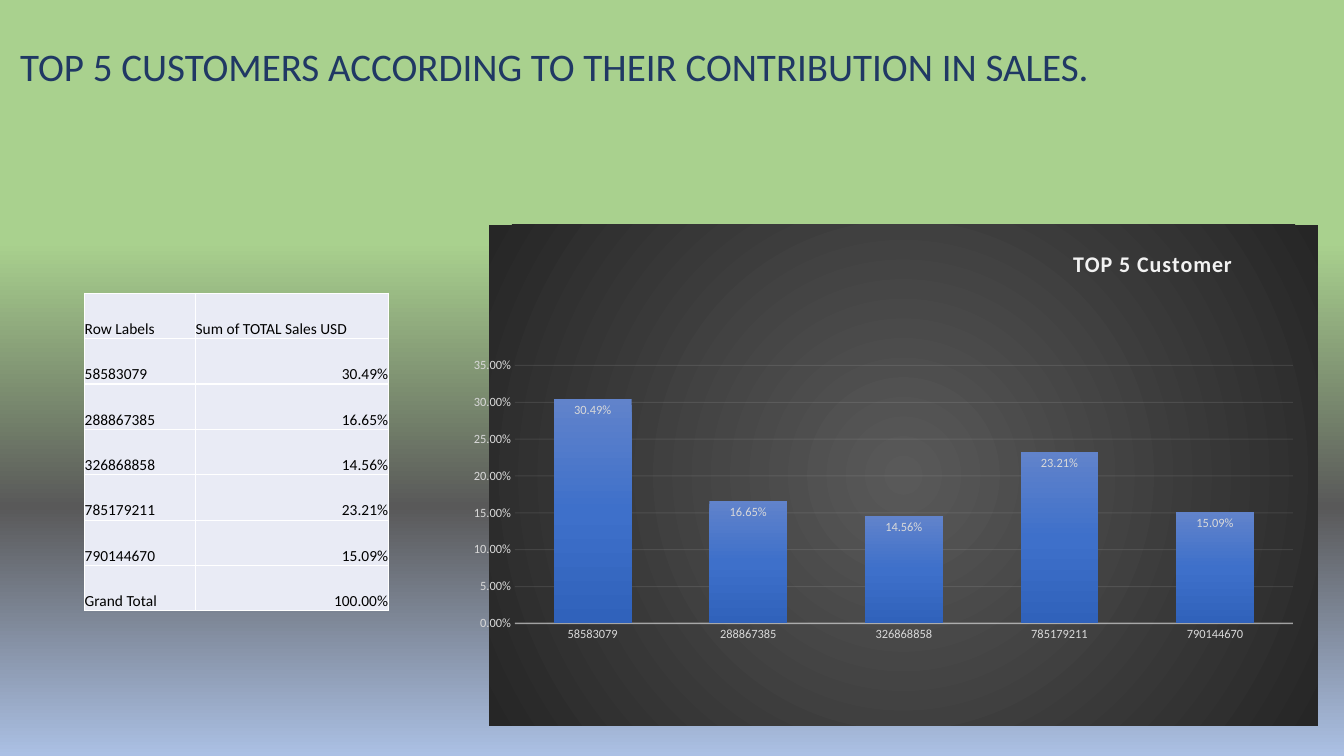
from lxml import etree
from pptx import Presentation
from pptx.chart.data import CategoryChartData
from pptx.dml.color import RGBColor
from pptx.enum.chart import XL_CHART_TYPE as ChartType, XL_LABEL_POSITION as LabelPosition
from pptx.enum.chart import XL_TICK_MARK as TickMark
from pptx.enum.text import MSO_ANCHOR as Anchor, PP_ALIGN as Align
from pptx.oxml import parse_xml
from pptx.oxml.ns import nsdecls, qn
from pptx.util import Inches, Pt

COLORS = {
    "black": "000000", "white": "FFFFFF", "navy": "203864", "cell": "E9EBF5",
    "label": "D9D9D9", "light": "F2F2F2", "grey": "595959", "dark": "262626",
    "green": "A9D18E", "sky": "ABC0E4",
    "bar_top": "6183CB", "bar_middle": "3E70CA", "bar_bottom": "3062BB",
}
DOWN = '<a:lin ang="5400000" scaled="0"/>'
FROM_CENTRE = ('<a:path path="circle"><a:fillToRect l="50000" t="50000" '
               'r="50000" b="50000"/></a:path>')


class SlideBuilder:
    font = "Calibri"

    def __init__(self, deck):
        self.page = deck.slides.add_slide(deck.slide_layouts[5])

    def color(self, name):
        return RGBColor.from_string(COLORS[name])

    def style(self, font, size, color, bold=False):
        font.name, font.size, font.bold = self.font, Pt(size), bold
        font.color.rgb = self.color(color)

    def gradient(self, stops, direction):
        marks = "".join(
            f'<a:gs pos="{position * 1000}"><a:srgbClr val="{COLORS[name]}"/></a:gs>'
            for position, name in stops)
        return parse_xml(f'<a:gradFill {nsdecls("a")} rotWithShape="1">'
                         f'<a:gsLst>{marks}</a:gsLst>{direction}</a:gradFill>')

    def swap_fill(self, properties, stops, direction):
        solid = properties.find(qn("a:solidFill"))
        properties.replace(solid, self.gradient(stops, direction))

    def line(self, line, color, width, opacity):
        line.width = Pt(width)
        line.color.rgb = self.color(color)
        shade = line._get_or_add_ln().find(".//" + qn("a:srgbClr"))
        etree.SubElement(shade, qn("a:alpha"), val=str(opacity * 1000))

    def place(self, parent, index, **values):
        """Give a chart part a manual layout in fractions of the chart."""
        for old in parent.findall(qn("c:layout")):
            parent.remove(old)
        layout = etree.Element(qn("c:layout"))
        manual = etree.SubElement(layout, qn("c:manualLayout"))
        for tag, value in values.items():
            etree.SubElement(manual, qn("c:" + tag), val=str(value))
        parent.insert(index, layout)

    def background(self, stops):
        self.page.background.fill.solid()
        self.swap_fill(self.page.element.find(".//" + qn("p:bgPr")), stops, DOWN)

    def title(self, text, left, top, width, height):
        box = self.page.shapes.title
        box.left, box.top, box.width, box.height = map(Inches, (left, top, width, height))
        frame = box.text_frame
        frame.text, frame.word_wrap = text, True
        frame.vertical_anchor = Anchor.MIDDLE
        para = frame.paragraphs[0]
        para.alignment, para.line_spacing = Align.LEFT, 0.9
        self.style(para.runs[0].font, 27.9, "navy")

    def table(self, rows, left, top, widths, row_height):
        table = self.page.shapes.add_table(
            len(rows), len(widths), Inches(left), Inches(top),
            Inches(sum(widths)), Inches(row_height * len(rows))).table
        table.first_row = table.horz_banding = False
        for column, width in zip(table.columns, widths):
            column.width = Inches(width)
        for r, row in enumerate(rows):
            for c, text in enumerate(row):
                self.cell(table.cell(r, c), text, Align.RIGHT if r and c else Align.LEFT)

    def cell(self, cell, text, alignment):
        cell.text = text
        cell.margin_left = cell.margin_right = cell.margin_top = cell.margin_bottom = 0
        cell.vertical_anchor = Anchor.BOTTOM
        cell.fill.solid()
        cell.fill.fore_color.rgb = self.color("cell")
        para = cell.text_frame.paragraphs[0]
        para.alignment = alignment
        self.style(para.runs[0].font, 11, "black")
        properties = cell._tc.get_or_add_tcPr()
        for index, side in enumerate(("lnL", "lnR", "lnT", "lnB")):
            properties.insert(index, parse_xml(
                f'<a:{side} {nsdecls("a")} w="12700"><a:solidFill>'
                f'<a:srgbClr val="{COLORS["white"]}"/></a:solidFill></a:{side}>'))

    def column_chart(self, title, shares, left, top, width, height):
        data = CategoryChartData(number_format="0.00%")
        data.categories = list(shares)
        data.add_series("Series 1", [share / 100 for share in shares.values()])
        chart = self.page.shapes.add_chart(
            ChartType.COLUMN_CLUSTERED, *map(Inches, (left, top, width, height)), data).chart
        chart.has_legend = False
        self.style(chart.font, 10, "black")

        # Dark chart area
        area = parse_xml(f'<c:spPr {nsdecls("c", "a")}><a:ln><a:noFill/></a:ln></c:spPr>')
        area.insert(0, self.gradient([(0, "grey"), (100, "dark")], FROM_CENTRE))
        chart.element.find(qn("c:txPr")).addprevious(area)

        # Chart title
        chart.has_title = True
        frame = chart.chart_title.text_frame
        frame.text = title
        span = frame.paragraphs[0].runs[0]
        self.style(span.font, 16, "light", bold=True)
        span.font._element.set("spc", "80")
        self.place(chart.chart_title.element if hasattr(chart.chart_title, "element")
                   else chart.chart_title._element, 1,
                   xMode="edge", yMode="edge", x=0.7, y=0.04)

        # Plot and axes
        self.place(chart.element.find(".//" + qn("c:plotArea")), 0,
                   layoutTarget="inner", xMode="edge", yMode="edge",
                   x=0.031, y=0.281, w=0.939, h=0.515)
        for axis in (chart.category_axis, chart.value_axis):
            axis.major_tick_mark = axis.minor_tick_mark = TickMark.NONE
            self.style(axis.tick_labels.font, 9, "label")
        self.line(chart.category_axis.format.line, "light", 1, 54)
        values = chart.value_axis
        values.minimum_scale, values.maximum_scale, values.major_unit = 0, 0.35, 0.05
        values.tick_labels.number_format = "0.00%"
        values.tick_labels.number_format_is_linked = False
        values.format.line.fill.background()
        self.line(values.major_gridlines.format.line, "light", 0.75, 10)

        # Columns and their labels
        plot = chart.plots[0]
        plot.gap_width, plot.overlap, plot.vary_by_categories = 100, -24, False
        series = plot.series[0]
        series.format.fill.solid()
        self.swap_fill(series._element.find(qn("c:spPr")),
                       [(0, "bar_top"), (50, "bar_middle"), (100, "bar_bottom")], DOWN)
        labels = series.data_labels
        labels.show_value, labels.position = True, LabelPosition.INSIDE_END
        labels.number_format, labels.number_format_is_linked = "0.00%", False
        self.style(labels.font, 9, "label")


deck = Presentation()
deck.slide_width, deck.slide_height = Inches(13.33), Inches(7.5)
slide = SlideBuilder(deck)

# Share of sales by customer, in percent
customers = {"58583079": 30.49, "288867385": 16.65, "326868858": 14.56,
             "785179211": 23.21, "790144670": 15.09}

slide.background([(32, "green"), (67, "grey"), (100, "sky")])
slide.title("TOP 5 CUSTOMERS ACCORDING TO THEIR CONTRIBUTION IN SALES.",
            0.1, 0.14, 13.13, 1.09)
slide.column_chart("TOP 5 Customer", customers, 4.7, 2.23, 8.37, 4.97)

# Customer table with its total
rows = [("Row Labels", "Sum of TOTAL Sales USD")]
rows += [(customer, f"{share:.2f}%") for customer, share in customers.items()]
rows.append(("Grand Total", f"{sum(customers.values()):.2f}%"))
slide.table(rows, 0.84, 2.91, (1.1, 1.91), 0.45)

deck.save("out.pptx")
